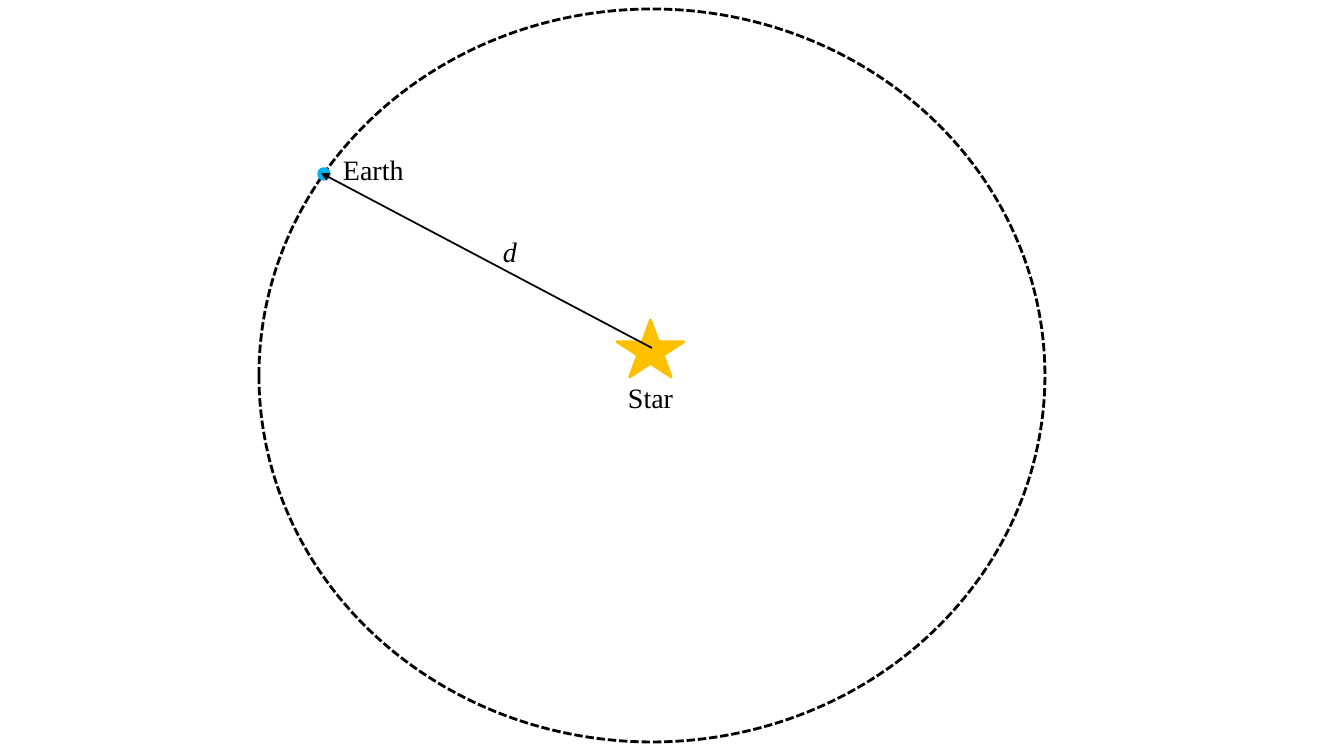
from lxml import etree
from pptx import Presentation
from pptx.dml.color import RGBColor
from pptx.enum.dml import MSO_LINE
from pptx.enum.shapes import MSO_CONNECTOR, MSO_SHAPE
from pptx.enum.text import MSO_AUTO_SIZE
from pptx.oxml.ns import qn
from pptx.util import Emu, Pt

OVAL = MSO_SHAPE.OVAL
STAR = MSO_SHAPE.STAR_5_POINT
STRAIGHT = MSO_CONNECTOR.STRAIGHT
DASH = MSO_LINE.SQUARE_DOT
FIT_SHAPE = MSO_AUTO_SIZE.SHAPE_TO_FIT_TEXT

COLORS = {"black": "000000", "star": "FFC000", "earth": "00B0F0"}
FONT = "Times New Roman"
FONT_SIZE = 20
SLIDE_SIZE = (1344, 756)
EMU_PER_PX = 914400 / 100.8

BODIES = [
    {"kind": OVAL, "box": (259, 9, 786, 733), "fill": None, "line": "black", "width": 2, "dash": DASH},
    {"kind": STAR, "box": (617, 320, 67, 57), "fill": "star", "line": "star", "width": 2, "dash": None},
    {"kind": OVAL, "box": (318, 168, 12, 12), "fill": "earth", "line": "earth", "width": 1, "dash": None},
]
DISTANCE = {"from": (652, 348), "to": (321, 173), "width": 1.25}
LABELS = [
    ("d", (493, 230, 35, 44), True),
    ("Star", (618, 376, 68, 44), False),
    ("Earth", (333, 148, 88, 44), False),
]


def px(*lengths):
    return [Emu(round(length * EMU_PER_PX)) for length in lengths]


def color(name):
    return RGBColor.from_string(COLORS[name])


def add_body(slide, body):
    shape = slide.shapes.add_shape(body["kind"], *px(*body["box"]))
    shape.shadow.inherit = False
    if body["fill"]:
        shape.fill.solid()
        shape.fill.fore_color.rgb = color(body["fill"])
    else:
        shape.fill.background()
    shape.line.color.rgb = color(body["line"])
    shape.line.width = Pt(body["width"])
    if body["dash"]:
        shape.line.dash_style = body["dash"]


def add_distance(slide):
    connector = slide.shapes.add_connector(STRAIGHT, *px(*DISTANCE["from"], *DISTANCE["to"]))
    connector.line.color.rgb = color("black")
    connector.line.width = Pt(DISTANCE["width"])
    etree.SubElement(connector.line._get_or_add_ln(), qn("a:tailEnd"), type="triangle")
    etree.SubElement(connector._element.spPr, qn("a:effectLst"))


def add_label(slide, text, box, italic):
    label = slide.shapes.add_textbox(*px(*box))
    frame = label.text_frame
    frame.word_wrap = True
    frame.auto_size = FIT_SHAPE
    frame.text = text
    font = frame.paragraphs[0].runs[0].font
    font.name = FONT
    font.size = Pt(FONT_SIZE)
    font.italic = italic
    font.color.rgb = color("black")


def main():
    presentation = Presentation()
    presentation.slide_width, presentation.slide_height = px(*SLIDE_SIZE)
    slide = presentation.slides.add_slide(presentation.slide_layouts[6])
    for body in BODIES:
        add_body(slide, body)
    add_distance(slide)
    for text, box, italic in LABELS:
        add_label(slide, text, box, italic)
    presentation.save("out.pptx")


if __name__ == "__main__":
    main()
